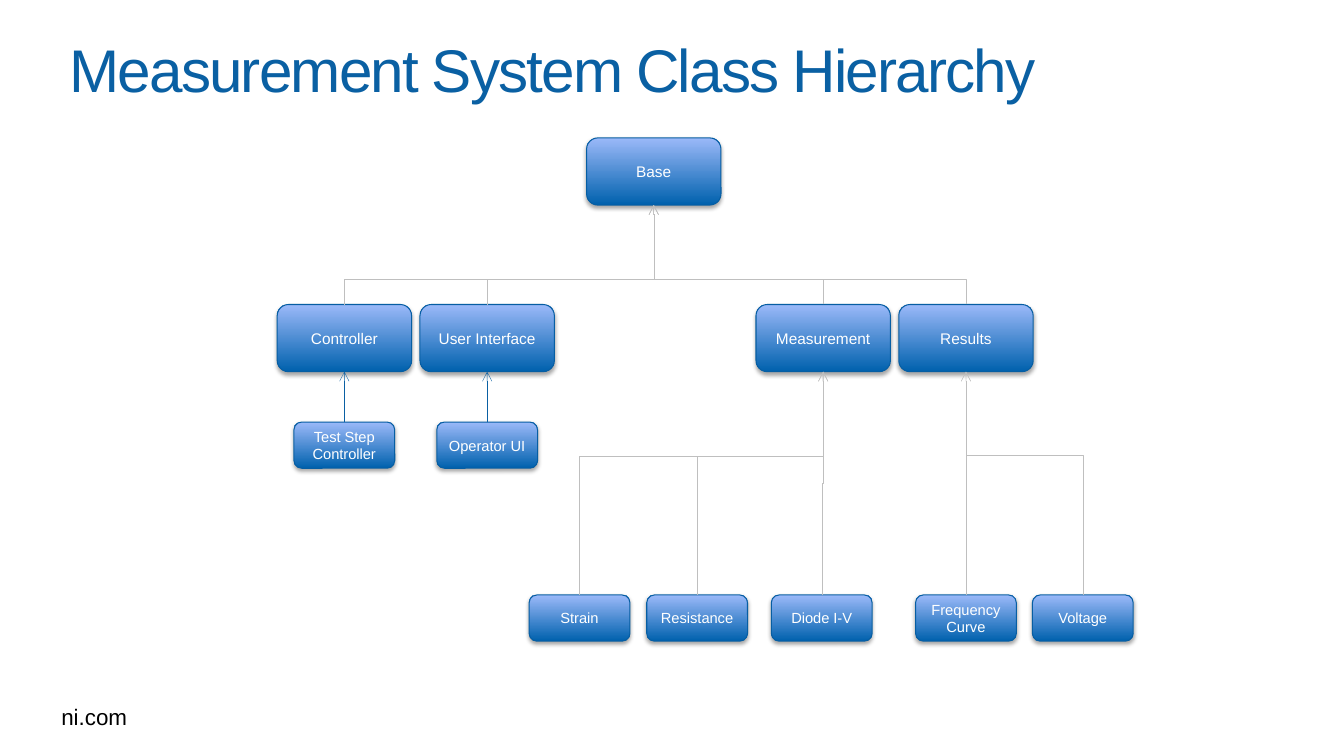
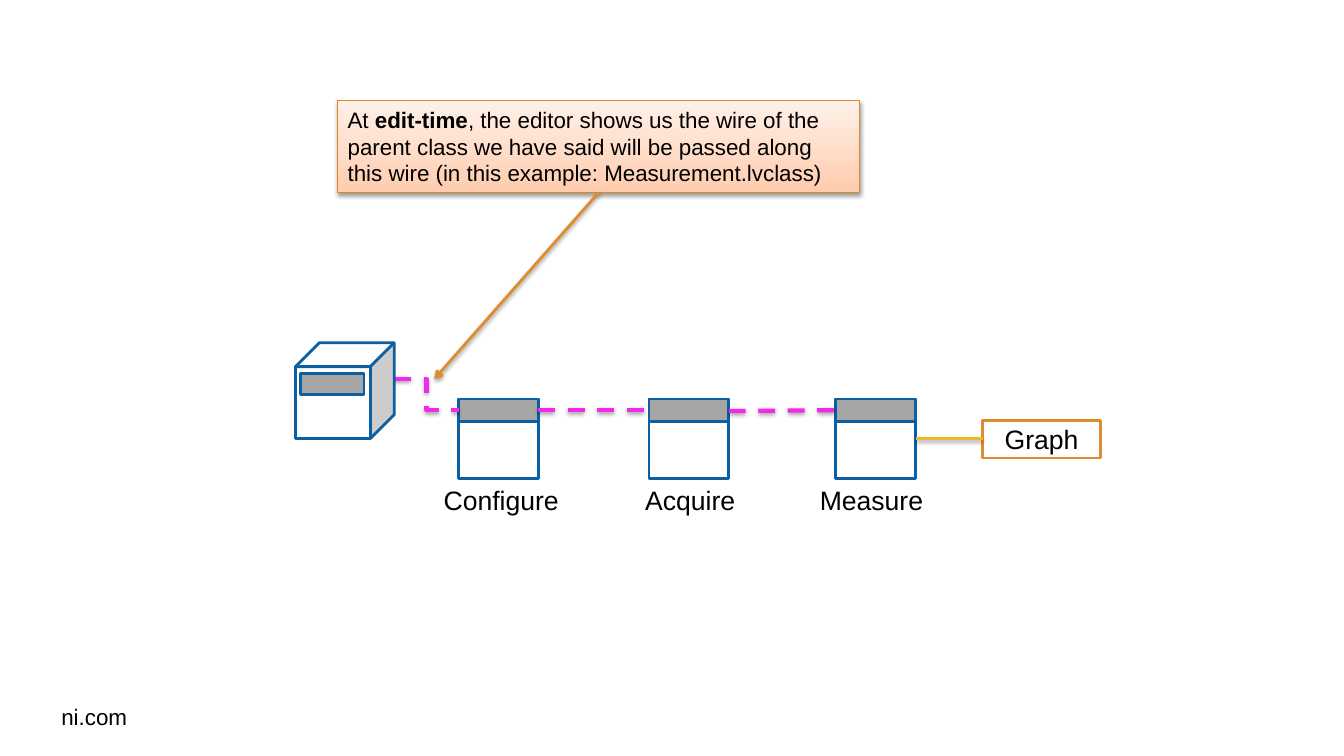
from dataclasses import dataclass

import lxml.etree
import pptx
import pptx.dml.color
import pptx.enum.dml
import pptx.enum.shapes
import pptx.enum.text
import pptx.oxml.ns
import pptx.util

Pt = pptx.util.Pt
qn = pptx.oxml.ns.qn
SHAPE = pptx.enum.shapes.MSO_SHAPE
CONNECTOR = pptx.enum.shapes.MSO_CONNECTOR
ALIGN = pptx.enum.text.PP_ALIGN
ANCHOR = pptx.enum.text.MSO_ANCHOR


@dataclass(frozen=True)
class Theme:
    font: str = "Arial"
    black: str = "000000"
    white: str = "FFFFFF"
    blue: str = "0A60A3"
    node_line: str = "065EA3"
    node_fill: tuple = ("0061AD", "9BB9F9")
    link: str = "BFBFBF"
    header: str = "A6A6A6"
    wire: str = "F527ED"
    data_wire: str = "EDB72E"
    orange: str = "DE8C2D"
    callout_line: str = "DD8928"
    callout_fill: tuple = ("FFCCAE", "FFF1E9")
    title_size: float = 43
    label_size: float = 19
    body_size: float = 16
    node_size: float = 11
    leaf_size: float = 10.5
    node_shadow: tuple = (35, 3.1, 1.8)
    soft_shadow: tuple = (38, 3.1, 1.6)


T = Theme()

# Class tree: name -> (centre x, top, width, height, type size)
NODE, LEAF = (96, 48, T.node_size), (72, 33, T.leaf_size)
CLASSES = {
    "Base": (467, 98.5, *NODE),
    "Controller": (246, 217.5, *NODE),
    "User Interface": (348, 217.5, *NODE),
    "Measurement": (588, 217.5, *NODE),
    "Results": (690, 217.5, *NODE),
    "Test Step Controller": (246, 301.5, *LEAF),
    "Operator UI": (348, 301.5, *LEAF),
    "Strain": (414, 425, *LEAF),
    "Resistance": (498, 425, *LEAF),
    "Diode I-V": (587, 425, *LEAF),
    "Frequency Curve": (690, 425, *LEAF),
    "Voltage": (773.5, 425, *LEAF),
}
# (child, parent, height of the horizontal run or None for halfway, colour)
INHERITANCE = [
    ("Controller", "Base", 199.5, T.link),
    ("User Interface", "Base", 199.5, T.link),
    ("Measurement", "Base", 199.5, T.link),
    ("Results", "Base", 199.5, T.link),
    ("Test Step Controller", "Controller", None, T.blue),
    ("Operator UI", "User Interface", None, T.blue),
    ("Strain", "Measurement", 326, T.link),
    ("Resistance", "Measurement", 326, T.link),
    ("Diode I-V", "Measurement", None, T.link),
    ("Frequency Curve", "Results", None, T.link),
    ("Voltage", "Results", 325, T.link),
]


def rgb(color):
    return pptx.dml.color.RGBColor.from_string(color)


def set_effects(s, shadow=None):
    """Replace the theme's effects with a downward shadow (opacity %, blur, distance), or none."""
    effects = lxml.etree.SubElement(s._element.spPr, qn("a:effectLst"))
    if shadow:
        opacity, blur, distance = shadow
        outer = lxml.etree.SubElement(
            effects, qn("a:outerShdw"), blurRad=str(int(Pt(blur))),
            dist=str(int(Pt(distance))), dir="5400000", rotWithShape="0")
        color = lxml.etree.SubElement(outer, qn("a:srgbClr"), val=T.black)
        lxml.etree.SubElement(color, qn("a:alpha"), val=str(opacity * 1000))


def write(sp, runs, size, color, align=ALIGN.LEFT, anchor=ANCHOR.TOP):
    """Fill a shape with one paragraph of (text, bold) runs."""
    tf = sp.text_frame
    tf.word_wrap = True
    tf.vertical_anchor = anchor
    p = tf.paragraphs[0]
    p.alignment = align
    for text, bold in runs:
        r = p.add_run()
        r.text = text
        r.font.name, r.font.size, r.font.bold = T.font, Pt(size), bold
        r.font.color.rgb = rgb(color)


def add_text(shapes, box, text, size, color, **placing):
    sp = shapes.add_textbox(*map(Pt, box))
    write(sp, [(text, False)], size, color, **placing)
    return sp


def add_box(shapes, kind, box, fill, line, width=2, shadow=None):
    """Add a preset shape; a pair of fill colours makes a gradient from bottom to top."""
    sp = shapes.add_shape(kind, *map(Pt, box))
    if isinstance(fill, tuple):
        sp.fill.gradient()
        sp.fill.gradient_angle = 90
        for stop, color in zip(sp.fill.gradient_stops, fill):
            stop.color.rgb = rgb(color)
    else:
        sp.fill.solid()
        sp.fill.fore_color.rgb = rgb(fill)
    sp.line.color.rgb = rgb(line)
    sp.line.width = Pt(width)
    set_effects(sp, shadow)
    return sp


def add_line(shapes, kind, start, end, color, width, dash=False, arrow=False, shadow=None):
    c = shapes.add_connector(kind, *map(Pt, (*start, *end)))
    c.line.color.rgb = rgb(color)
    c.line.width = Pt(width)
    if dash:
        c.line.dash_style = pptx.enum.dml.MSO_LINE.DASH
    if arrow:
        lxml.etree.SubElement(c._element.spPr.find(qn("a:ln")), qn("a:tailEnd"), type="arrow")
    set_effects(c, shadow)
    return c


def add_rising_elbow(shapes, start, end, color, bend_y=None):
    """Add an elbow arrow that leaves upwards: a sideways elbow turned by 270 degrees."""
    (x1, y1), (x2, y2) = start, end
    cx, cy = (x1 + x2) / 2, (y1 + y2) / 2
    half_rise, half_run = (y1 - y2) / 2, (x2 - x1) / 2
    c = add_line(shapes, CONNECTOR.ELBOW, (cx - half_rise, cy - half_run),
                 (cx + half_rise, cy + half_run), color, 0.25, arrow=True)
    spPr = c._element.spPr
    spPr.find(qn("a:xfrm")).set("rot", "16200000")
    if bend_y is not None:
        geom = spPr.find(qn("a:prstGeom"))
        guides = geom.find(qn("a:avLst"))
        if guides is None:
            guides = lxml.etree.SubElement(geom, qn("a:avLst"))
        share = round((y1 - bend_y) / (y1 - y2) * 100000)
        lxml.etree.SubElement(guides, qn("a:gd"), name="adj1", fmla=f"val {share}")


def add_slide(prs):
    """Add a blank slide with the shared footer and return its shapes."""
    shapes = prs.slides.add_slide(prs.slide_layouts[6]).shapes
    add_text(shapes, (36.7, 498.6, 80, 26.6), "ni.com", T.body_size, T.black)
    return shapes


def add_title(shapes, text):
    sp = add_text(shapes, (49.7, 11.2, 862, 75.6), text, T.title_size, T.blue,
                  anchor=ANCHOR.MIDDLE)
    sp.text_frame.margin_left = 0
    sp.text_frame.paragraphs[0].runs[0].font._element.set("spc", "-130")


def add_class_node(shapes, name):
    cx, top, width, height, size = CLASSES[name]
    sp = add_box(shapes, SHAPE.ROUNDED_RECTANGLE, (cx - width / 2, top, width, height),
                 T.node_fill, T.node_line, 0.75, T.node_shadow)
    write(sp, [(name, False)], size, T.white, ALIGN.CENTER, ANCHOR.MIDDLE)


def add_method(shapes, name, left, label_center):
    """Add a method icon (box with a header band) and its label below."""
    group = shapes.add_group_shape().shapes
    top, side = 285, 57
    for height, fill in ((side, T.white), (16, T.header)):
        add_box(group, SHAPE.RECTANGLE, (left, top, side, height), fill, T.blue)
    add_text(group, (label_center - 55, top + side, 110, 30), name, T.label_size, T.black,
             align=ALIGN.CENTER)


def add_object_cube(shapes):
    group = shapes.add_group_shape().shapes
    add_box(group, SHAPE.CUBE, (211, 244.8, 70.6, 68.4), T.white, T.blue)
    add_box(group, SHAPE.RECTANGLE, (214.6, 267, 45.4, 14.6), T.header, T.blue)


def add_wire(shapes, start, end, kind=CONNECTOR.STRAIGHT):
    add_line(shapes, kind, start, end, T.wire, 3, dash=True, shadow=T.soft_shadow)


def build_hierarchy(prs):
    shapes = add_slide(prs)
    add_title(shapes, "Measurement System Class Hierarchy")
    for name in CLASSES:
        add_class_node(shapes, name)
    for child, parent, bend_y, color in INHERITANCE:
        child_x, child_top = CLASSES[child][:2]
        parent_x, parent_top, _, parent_height, _ = CLASSES[parent]
        add_rising_elbow(shapes, (child_x, child_top),
                         (parent_x, parent_top + parent_height), color, bend_y)


def build_edit_time(prs):
    shapes = add_slide(prs)
    for method in (("Configure", 327.6, 358), ("Acquire", 463.6, 493), ("Measure", 597, 622.5)):
        add_method(shapes, *method)
    add_wire(shapes, (384.6, 293), (463.6, 293))
    add_wire(shapes, (520.6, 293.6), (597, 293))
    add_wire(shapes, (281.6, 270.7), (327.6, 293), CONNECTOR.ELBOW)

    graph = add_box(shapes, SHAPE.RECTANGLE, (702, 300.2, 84, 27), T.white, T.orange)
    write(graph, [("Graph", False)], T.label_size, T.black, ALIGN.CENTER, ANCHOR.MIDDLE)
    add_line(shapes, CONNECTOR.STRAIGHT, (654.5, 313.4), (702, 313.4), T.data_wire, 2,
             shadow=T.soft_shadow)
    add_object_cube(shapes)

    callout = add_box(shapes, SHAPE.RECTANGLE, (241.2, 72, 373, 65.5), T.callout_fill,
                      T.callout_line, 0.75, T.soft_shadow)
    write(callout, [
        ("At ", False),
        ("edit-time", True),
        (", the editor shows us the wire of the parent class we have said will be passed "
         "along this wire (in this example: Measurement.lvclass)", False),
    ], T.body_size, T.black)
    add_line(shapes, CONNECTOR.STRAIGHT, (427.7, 137.5), (310.3, 270.7), T.orange, 2,
             arrow=True, shadow=T.soft_shadow)


def main():
    prs = pptx.Presentation()
    prs.slide_width, prs.slide_height = Pt(960), Pt(540)
    build_hierarchy(prs)
    build_edit_time(prs)
    prs.save("out.pptx")


if __name__ == "__main__":
    main()
